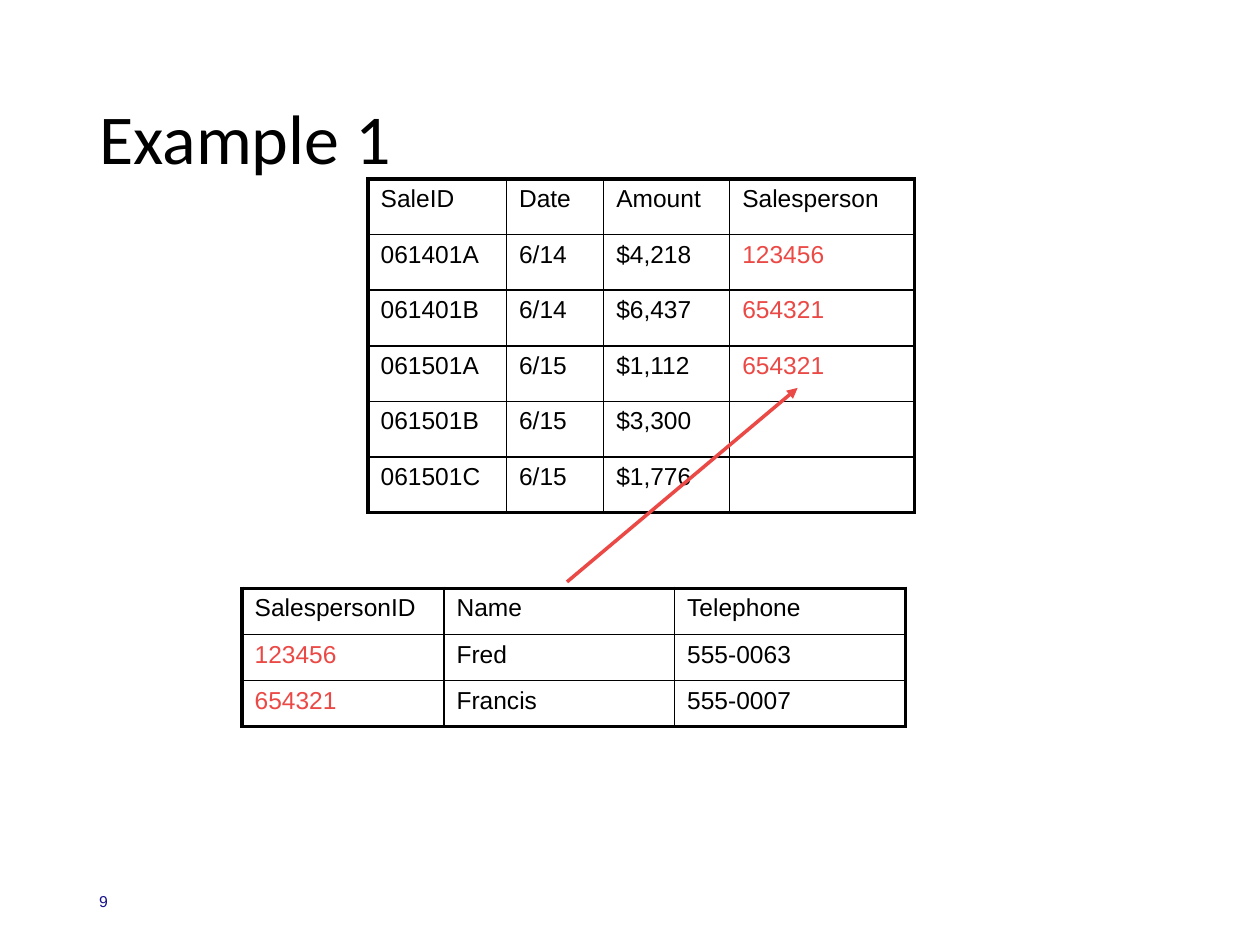
"""Build a slide showing how a sales table refers to a salesperson table."""
from lxml.etree import SubElement
from pptx import Presentation
from pptx.dml.color import RGBColor
from pptx.enum.shapes import MSO_CONNECTOR as Connector
from pptx.enum.text import MSO_ANCHOR as Anchor, PP_ALIGN as Align
from pptx.oxml.ns import qn
from pptx.util import Cm, Pt

BLACK = RGBColor(0x00, 0x00, 0x00)
RED = RGBColor(0xEB, 0x49, 0x45)
NAVY = RGBColor(0x19, 0x13, 0x8D)

SALES = [
    ["SaleID", "Date", "Amount", "Salesperson"],
    ["061401A", "6/14", "$4,218", "123456"],
    ["061401B", "6/14", "$6,437", "654321"],
    ["061501A", "6/15", "$1,112", "654321"],
    ["061501B", "6/15", "$3,300", ""],
    ["061501C", "6/15", "$1,776", ""],
]
SALESPEOPLE = [
    ["SalespersonID", "Name", "Telephone"],
    ["123456", "Fred", "555-0063"],
    ["654321", "Francis", "555-0007"],
]


class SlideBuilder:
    body_font = "Arial"
    title_font = "Calibri"
    outer_width = Pt(2.25)
    inner_width = Pt(1)

    def __init__(self, page):
        self.page = page

    def style(self, para, size, color, name=body_font):
        para.font.size = Pt(size)
        para.font.name = name
        para.font.color.rgb = color

    def place(self, shape, left, top, width, height):
        shape.left, shape.top = Cm(left), Cm(top)
        shape.width, shape.height = Cm(width), Cm(height)

    def title(self, text, *bounds):
        box = self.page.shapes.title
        self.place(box, *bounds)
        frame = box.text_frame
        frame.text = text
        frame.vertical_anchor = Anchor.MIDDLE
        para = frame.paragraphs[0]
        para.alignment = Align.LEFT
        para.line_spacing = 0.9
        self.style(para, 40, BLACK, self.title_font)

    def label(self, text, *bounds):
        box = self.page.shapes.add_textbox(*map(Cm, bounds))
        frame = box.text_frame
        frame.word_wrap = True
        frame.vertical_anchor = Anchor.MIDDLE
        frame.text = text
        self.style(frame.paragraphs[0], 9, NAVY)

    def border(self, cell, side, is_outer):
        width = self.outer_width if is_outer else self.inner_width
        line = SubElement(cell._tc.get_or_add_tcPr(), qn(f"a:ln{side}"), w=str(width))
        fill = SubElement(line, qn("a:solidFill"))
        SubElement(fill, qn("a:srgbClr"), val=str(BLACK))

    def table(self, records, key_column, left, top, widths, row_height):
        rows, columns = len(records), len(widths)
        table = self.page.shapes.add_table(
            rows, columns, Cm(left), Cm(top), Cm(sum(widths)), Cm(rows * row_height)
        ).table
        table.first_row = table.horz_banding = False
        for column, width in zip(table.columns, widths):
            column.width = Cm(width)
        for r, record in enumerate(records):
            table.rows[r].height = Cm(row_height)
            for c, text in enumerate(record):
                cell = table.cell(r, c)
                cell.text = text
                color = RED if r > 0 and c == key_column else BLACK
                self.style(cell.text_frame.paragraphs[0], 14, color)
                self.border(cell, "L", c == 0)
                self.border(cell, "R", c == columns - 1)
                self.border(cell, "T", r == 0)
                self.border(cell, "B", r == rows - 1)
                cell.fill.background()

    def arrow(self, *ends):
        arrow = self.page.shapes.add_connector(Connector.STRAIGHT, *map(Cm, ends))
        arrow.line.color.rgb = RED
        arrow.line.width = Pt(2)
        properties = arrow.element.spPr
        SubElement(properties.find(qn("a:ln")), qn("a:tailEnd"), type="triangle")
        SubElement(properties, qn("a:effectLst"))


def main():
    deck = Presentation()
    deck.slide_width, deck.slide_height = Cm(25.4), Cm(19.05)
    builder = SlideBuilder(deck.slides.add_slide(deck.slide_layouts[5]))
    builder.label("9", 1.75, 17.65, 5.72, 1.02)
    builder.title("Example 1", 1.75, 1.02, 21.89, 3.68)
    builder.table(SALESPEOPLE, 0, 4.88, 11.86, [4.07, 4.65, 4.65], 0.93)
    builder.table(SALES, 3, 7.42, 3.61, [2.79, 1.96, 2.54, 3.73], 1.12)
    builder.arrow(11.43, 11.73, 16.08, 7.82)
    deck.save("out.pptx")


if __name__ == "__main__":
    main()
